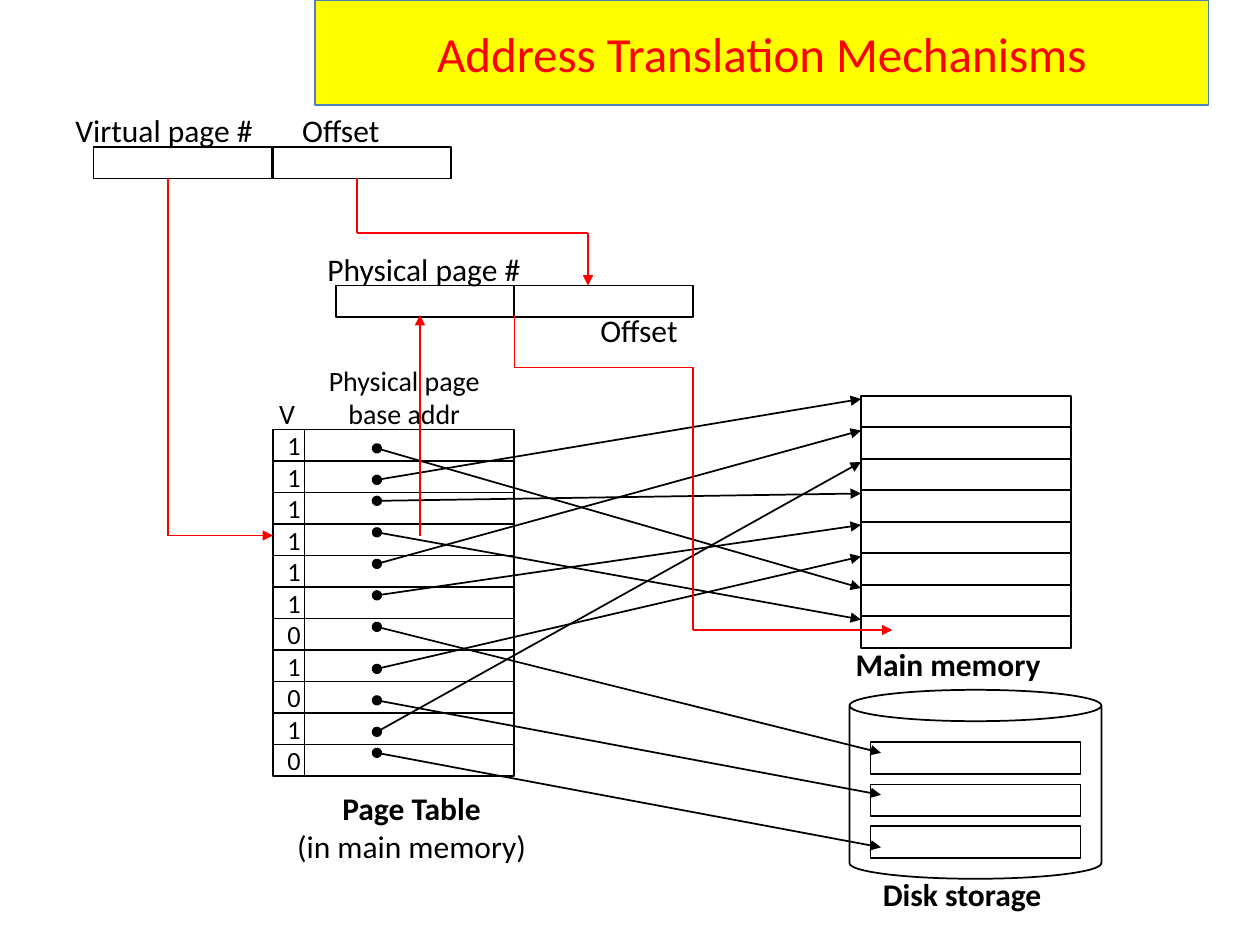
from dataclasses import dataclass
from itertools import pairwise

from lxml.etree import SubElement
from pptx import Presentation
from pptx.dml.color import RGBColor
from pptx.enum.shapes import MSO_CONNECTOR, MSO_SHAPE
from pptx.enum.text import MSO_ANCHOR, MSO_AUTO_SIZE, PP_ALIGN
from pptx.oxml.ns import qn
from pptx.util import Inches, Pt

BLACK, RED, YELLOW, BLUE = "000000", "FF0000", "FFFF00", "4F81BD"
FONT = "Calibri"
ROW = 3
TABLE_LEFT, TABLE_TOP, TABLE_WIDTH = 26, 40.9, 23
MEMORY_LEFT, MEMORY_TOP, MEMORY_WIDTH, MEMORY_ROWS = 82, 37.7, 20, 8
DISK_LEFT, DISK_TOP, BLOCK_STEP = 82.9, 70.7, 4
DOT_X = 35.9


@dataclass
class Entry:
    valid: str
    dot_y: float
    target: int


@dataclass
class Label:
    left: float
    top: float
    width: float
    height: float
    lines: list[str]
    size: float = 18
    bold_lines: int = 0
    centred: bool = False
    pitch: float | None = None


ENTRIES = [
    Entry("1", 42.7, 6), Entry("1", 45.7, 0), Entry("1", 47.7, 3),
    Entry("1", 50.7, 7), Entry("1", 53.7, 1), Entry("1", 56.7, 4),
    Entry("0", 59.7, 0), Entry("1", 63.7, 5), Entry("0", 66.7, 1),
    Entry("1", 69.7, 2), Entry("0", 71.7, 2),
]
DISK_TARGETS = [71.7, 75.7, 80.7]
FIELDS = [(8.9, 14), (26, 14), (32, 27.2), (49, 27.2)]
ROUTES = [
    [(16, 17), (16, 51), (26, 51)],
    [(40, 51), (40, 30)],
    [(34, 17), (34, 22.2), (56, 22.2), (56, 27.2)],
    [(49, 30), (49, 35), (66, 35), (66, 60), (85, 60)],
]
LABELS = [
    Label(29, 34, 19, 7.7, ["Physical page", "base addr"], 16, centred=True),
    Label(80.3, 60.8, 21.7, 4.8, ["Main memory"], bold_lines=1),
    Label(82.9, 82.7, 20.4, 4.8, ["Disk storage"], bold_lines=1),
    Label(6, 10, 20.9, 4.8, ["Virtual page #"]),
    Label(27.6, 10, 10.4, 4.8, ["Offset"]),
    Label(30, 23.2, 23.6, 4.8, ["Physical page #"]),
    Label(56, 29, 10.4, 4.8, ["Offset"]),
    Label(25.4, 37.2, 4.2, 4.4, ["V"], 16),
    Label(26.2, 40.3, 3.8, 34.2, [entry.valid for entry in ENTRIES], 15, pitch=18),
    Label(26.3, 74.6, 25.8, 8.4, ["Page Table", "(in main memory)"],
          bold_lines=1, centred=True),
]


def cells(count: float) -> int:
    return Inches(count / 12)


def colour(value: str) -> RGBColor:
    return RGBColor.from_string(value)


def add_line(shapes, start: tuple, end: tuple, ink: str = BLACK,
             head: str = "", tail: str = "") -> None:
    line = shapes.add_connector(MSO_CONNECTOR.STRAIGHT, *map(cells, (*start, *end)))
    line.line.color.rgb = colour(ink)
    line.line.width = Pt(1)
    outline = line.line._get_or_add_ln()
    for tag, kind in (("a:headEnd", head), ("a:tailEnd", tail)):
        if kind:
            SubElement(outline, qn(tag), type=kind)
    SubElement(line._element.spPr, qn("a:effectLst"))


def add_outline(page, left: float, top: float, width: float, height: float,
                kind=MSO_SHAPE.RECTANGLE):
    shape = page.shapes.add_shape(kind, *map(cells, (left, top, width, height)))
    shape.shadow.inherit = False
    shape.fill.background()
    shape.line.color.rgb = colour(BLACK)
    shape.line.width = Pt(1)
    return shape


def add_rows(page, left: float, top: float, width: float, count: int) -> None:
    add_outline(page, left, top, width, count * ROW)
    for row in range(1, count):
        height = top + row * ROW
        add_line(page.shapes, (left, height), (left + width, height))


def add_span(para, text: str, size: float, ink: str = BLACK, bold: bool = False) -> None:
    span = para.add_run()
    span.text = text
    span.font.name = FONT
    span.font.size = Pt(size)
    span.font.bold = bold
    span.font.color.rgb = colour(ink)


def add_label(page, label: Label) -> None:
    box = page.shapes.add_textbox(
        *map(cells, (label.left, label.top, label.width, label.height)))
    frame = box.text_frame
    frame.word_wrap = False
    frame.auto_size = MSO_AUTO_SIZE.SHAPE_TO_FIT_TEXT
    for index, text in enumerate(label.lines):
        para = frame.add_paragraph() if index else frame.paragraphs[0]
        para.alignment = PP_ALIGN.CENTER if label.centred else PP_ALIGN.LEFT
        if label.pitch:
            para.line_spacing = Pt(label.pitch)
        add_span(para, text, label.size, bold=index < label.bold_lines)


def add_route(page, points: list[tuple]) -> None:
    segments = list(pairwise(points))
    shapes = page.shapes.add_group_shape().shapes if len(segments) > 1 else page.shapes
    for start, end in segments:
        add_line(shapes, start, end, RED, tail="triangle" if end == points[-1] else "")


def format_title(title) -> None:
    title.left, title.top, title.width, title.height = map(cells, (30, 0, 85.1, 10))
    title.fill.solid()
    title.fill.fore_color.rgb = colour(YELLOW)
    title.line.color.rgb = colour(BLUE)
    title.line.width = Pt(0.75)
    frame = title.text_frame
    frame.auto_size = MSO_AUTO_SIZE.NONE
    frame.vertical_anchor = MSO_ANCHOR.MIDDLE
    frame.paragraphs[0].alignment = PP_ALIGN.CENTER
    add_span(frame.paragraphs[0], "Address Translation Mechanisms", 28, RED)


def main() -> None:
    deck = Presentation()
    deck.slide_width, deck.slide_height = Inches(10), Inches(7.5)
    page = deck.slides.add_slide(deck.slide_layouts[5])
    format_title(page.shapes.title)

    add_rows(page, TABLE_LEFT, TABLE_TOP, TABLE_WIDTH, len(ENTRIES))
    divider = TABLE_LEFT + ROW
    add_line(page.shapes, (divider, TABLE_TOP), (divider, TABLE_TOP + len(ENTRIES) * ROW))
    add_rows(page, MEMORY_LEFT, MEMORY_TOP, MEMORY_WIDTH, MEMORY_ROWS)
    disk = add_outline(page, 80.9, 65.7, 24, 18, MSO_SHAPE.CAN)
    disk.adjustments[0] = 0.166
    for block in range(len(DISK_TARGETS)):
        add_outline(page, DISK_LEFT, DISK_TOP + block * BLOCK_STEP, MEMORY_WIDTH, ROW)
    for left, top in FIELDS:
        add_outline(page, left, top, 17, ROW)

    for entry in ENTRIES:
        if entry.valid == "1":
            end = (MEMORY_LEFT, MEMORY_TOP + 0.3 + entry.target * ROW)
        else:
            end = (DISK_LEFT + 1, DISK_TARGETS[entry.target])
        add_line(page.shapes, (DOT_X, entry.dot_y), end, head="oval", tail="triangle")
    for label in LABELS:
        add_label(page, label)
    for route in ROUTES:
        add_route(page, route)
    deck.save("out.pptx")


if __name__ == "__main__":
    main()
